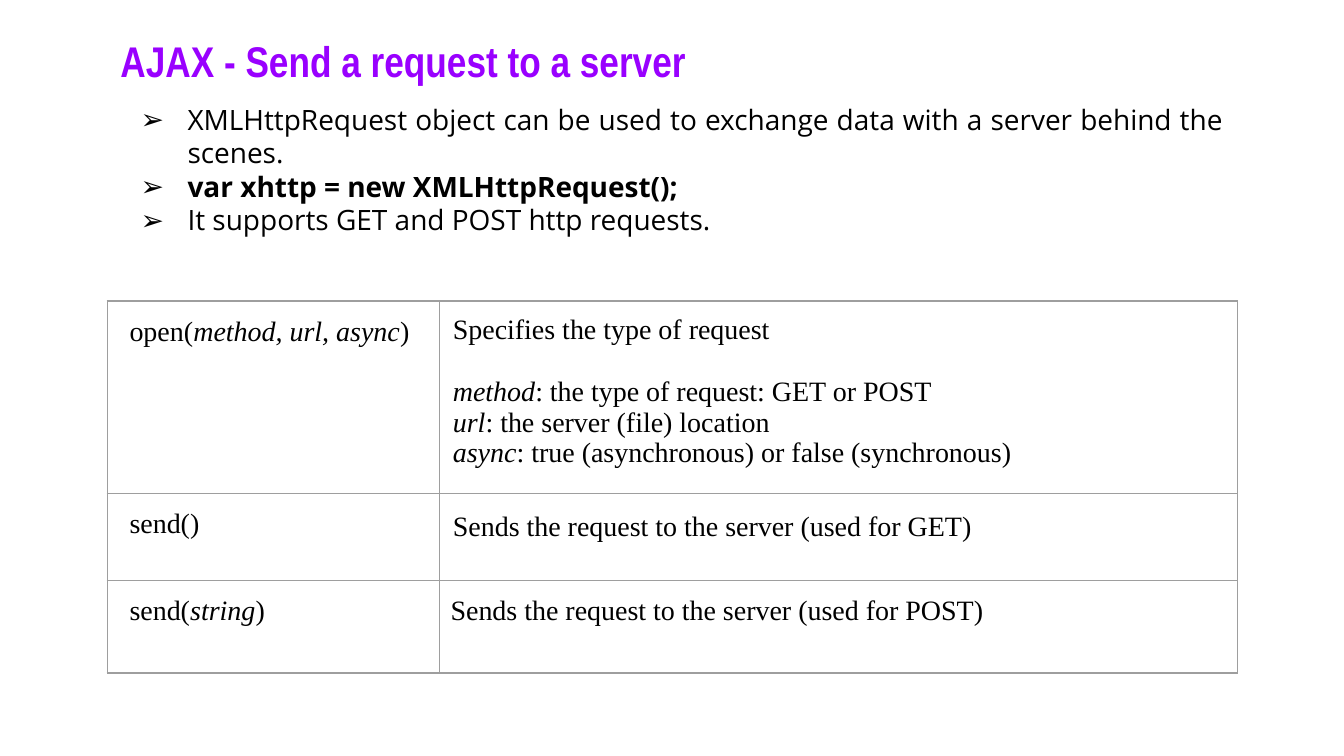
from dataclasses import dataclass

from lxml import etree
from pptx import Presentation
from pptx.dml.color import RGBColor
from pptx.enum import text
from pptx.oxml import ns
from pptx.util import Pt


@dataclass(frozen=True)
class Theme:
    purple: str = "9900FF"
    black: str = "000000"
    white: str = "FFFFFF"
    grid: str = "9E9E9E"
    title_size: int = 23
    body_size: int = 15
    title_font: str = "Arial Narrow"
    body_font: str = "Open Sans"
    table_font: str = "Times New Roman"


theme = Theme()


def add_run(paragraph, wording, font, size, color=theme.black, bold=False, italic=False):
    run = paragraph.add_run()
    run.text = wording
    run.font.name = font
    run.font.size = Pt(size)
    run.font.color.rgb = RGBColor.from_string(color)
    run.font.bold = bold
    run.font.italic = italic


def add_text_frame(top, height):
    shape = slide.shapes.add_textbox(Pt(left), Pt(top), Pt(width), Pt(height))
    frame = shape.text_frame
    frame.word_wrap = True
    frame.margin_left = frame.margin_right = Pt(7.2)
    frame.margin_top = frame.margin_bottom = Pt(7.2)
    return frame


presentation = Presentation()
presentation.slide_width = Pt(720)
presentation.slide_height = Pt(405)
slide = presentation.slides.add_slide(presentation.slide_layouts[6])
left, width = 57.4, 605.4

title = add_text_frame(16.5, 42.5).paragraphs[0]
title.line_spacing = 0.8
add_run(title, "AJAX - Send a request to a server", theme.title_font, theme.title_size, theme.purple, bold=True)

bullets = [
    ("XMLHttpRequest object can be used to exchange data with a server behind the scenes.", False),
    ("var xhttp = new XMLHttpRequest();", True),
    ("It supports GET and POST http requests.", False),
]
frame = add_text_frame(47.5, 113.8)
for index, (wording, bold) in enumerate(bullets):
    paragraph = frame.add_paragraph() if index else frame.paragraphs[0]
    paragraph.alignment = text.PP_ALIGN.JUSTIFY
    properties = paragraph._p.get_or_add_pPr()
    properties.set("marL", str(Pt(36)))
    properties.set("indent", str(Pt(-25.2)))
    bullet_color = etree.SubElement(properties, ns.qn("a:buClr"))
    etree.SubElement(bullet_color, ns.qn("a:srgbClr"), val=theme.black)
    etree.SubElement(properties, ns.qn("a:buFont"), typeface=theme.body_font)
    etree.SubElement(properties, ns.qn("a:buChar"), char="➢")
    add_run(paragraph, wording, theme.body_font, theme.body_size, bold=bold)

column_widths = [178, 427.4]
row_heights = [97, 46.6, 49.8]
method_rows = [
    (
        [["open(", "method, url, async", ")"]],
        [
            ["Specifies the type of request"],
            ["", "method", ": the type of request: GET or POST"],
            ["", "url", ": the server (file) location"],
            ["", "async", ": true (asynchronous) or false (synchronous)"],
        ],
        7.2,
    ),
    ([["send()"]], [["Sends the request to the server (used for GET)"]], 7.2),
    ([["send(", "string", ")"]], [["Sends the request to the server (used for POST)"]], 6),
]
table = slide.shapes.add_table(
    len(row_heights), len(column_widths), Pt(left), Pt(161.2), Pt(width), Pt(sum(row_heights))
).table
for column, column_width in zip(table.columns, column_widths):
    column.width = Pt(column_width)
for row, row_height, (call, description, inset) in zip(table.rows, row_heights, method_rows):
    row.height = Pt(row_height)
    for cell, paragraphs, start, margin in zip(row.cells, (call, description), (12, inset), (6, inset)):
        cell.margin_left = Pt(start)
        cell.margin_right = cell.margin_top = cell.margin_bottom = Pt(margin)
        cell.vertical_anchor = text.MSO_ANCHOR.TOP
        for side in ("a:lnL", "a:lnR", "a:lnT", "a:lnB"):
            border = etree.SubElement(cell._tc.get_or_add_tcPr(), ns.qn(side), w=str(Pt(0.75)))
            border_fill = etree.SubElement(border, ns.qn("a:solidFill"))
            etree.SubElement(border_fill, ns.qn("a:srgbClr"), val=theme.grid)
        cell.fill.solid()
        cell.fill.fore_color.rgb = RGBColor.from_string(theme.white)
        for index, pieces in enumerate(paragraphs):
            paragraph = cell.text_frame.add_paragraph() if index else cell.text_frame.paragraphs[0]
            if len(paragraphs) > 1:
                paragraph.alignment = text.PP_ALIGN.JUSTIFY
                paragraph.space_before = Pt(16.6 if index == 1 else 0)
            else:
                paragraph.line_spacing = 1.15
            for position, wording in enumerate(pieces):
                if wording:
                    add_run(paragraph, wording, theme.table_font, theme.body_size, italic=position == 1)

presentation.save("out.pptx")
